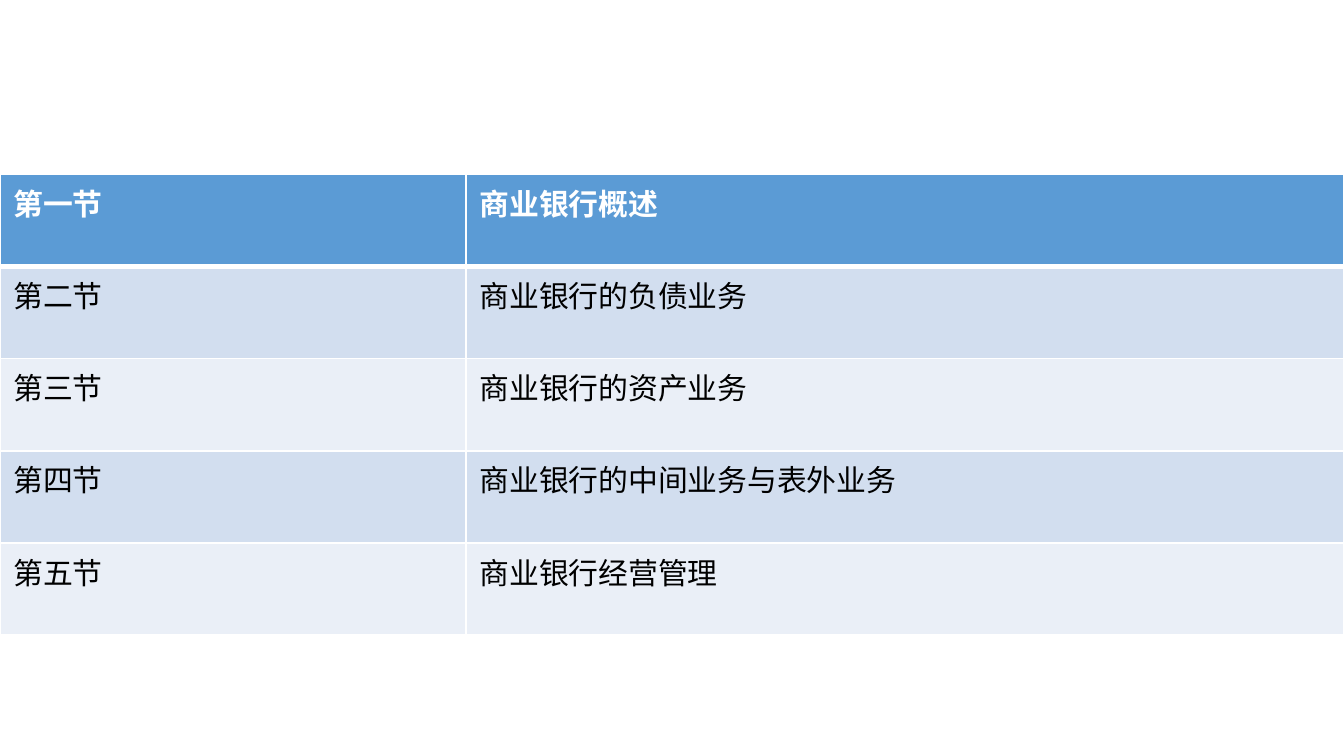
import pptx
import pptx.dml.color
import pptx.oxml.ns
import pptx.util
from lxml import etree

Cm = pptx.util.Cm
Pt = pptx.util.Pt
RGBColor = pptx.dml.color.RGBColor
qn = pptx.oxml.ns.qn

WHITE = RGBColor(0xFF, 0xFF, 0xFF)
BLACK = RGBColor(0x00, 0x00, 0x00)
HEADER_BLUE = RGBColor(0x5B, 0x9B, 0xD5)
BANDS = (RGBColor(0xEA, 0xEF, 0xF7), RGBColor(0xD2, 0xDE, 0xEF))

SECTIONS = [
    ("第一节", "商业银行概述"),
    ("第二节", "商业银行的负债业务"),
    ("第三节", "商业银行的资产业务"),
    ("第四节", "商业银行的中间业务与表外业务"),
    ("第五节", "商业银行经营管理"),
]


class SlideBuilder:
    font = "Noto Sans CJK SC"
    size = Pt(16)

    def __init__(self, s):
        self.s = s

    def run(self, p, text, color, bold):
        r = p.add_run()
        r.text = text
        r.font.name = self.font
        r.font.size = self.size
        r.font.bold = bold
        r.font.color.rgb = color
        ea = etree.SubElement(r.font._element, qn("a:ea"))
        ea.set("typeface", self.font)

    def borders(self, cell, top, bottom):
        """Draw white cell borders; top and bottom are widths in points."""
        tc_pr = cell._tc.get_or_add_tcPr()
        for side, width in (("L", 1), ("R", 1), ("T", top), ("B", bottom)):
            ln = etree.SubElement(tc_pr, qn("a:ln" + side), w=str(Pt(width)))
            fill = etree.SubElement(ln, qn("a:solidFill"))
            etree.SubElement(fill, qn("a:srgbClr"), val=str(WHITE))

    def table(self, rows, left, top, col_widths, row_height):
        """Add a table with a blue header row and banded body rows."""
        table = self.s.shapes.add_table(
            len(rows), len(col_widths), left, top,
            sum(col_widths), row_height * len(rows)).table
        for column, width in zip(table.columns, col_widths):
            column.width = width
        for i, texts in enumerate(rows):
            header = i == 0
            for j, text in enumerate(texts):
                cell = table.cell(i, j)
                self.borders(cell, 3 if i == 1 else 1, 3 if header else 1)
                cell.fill.solid()
                cell.fill.fore_color.rgb = HEADER_BLUE if header else BANDS[i % 2]
                self.run(cell.text_frame.paragraphs[0], text,
                         WHITE if header else BLACK, header)


def main():
    prs = pptx.Presentation()
    prs.slide_width = Cm(25.4)
    prs.slide_height = Cm(14.29)
    builder = SlideBuilder(prs.slides.add_slide(prs.slide_layouts[6]))
    builder.table(SECTIONS, Cm(0), Cm(3.3), (Cm(8.81), Cm(16.59)), Cm(1.74))
    prs.save("out.pptx")


if __name__ == "__main__":
    main()
